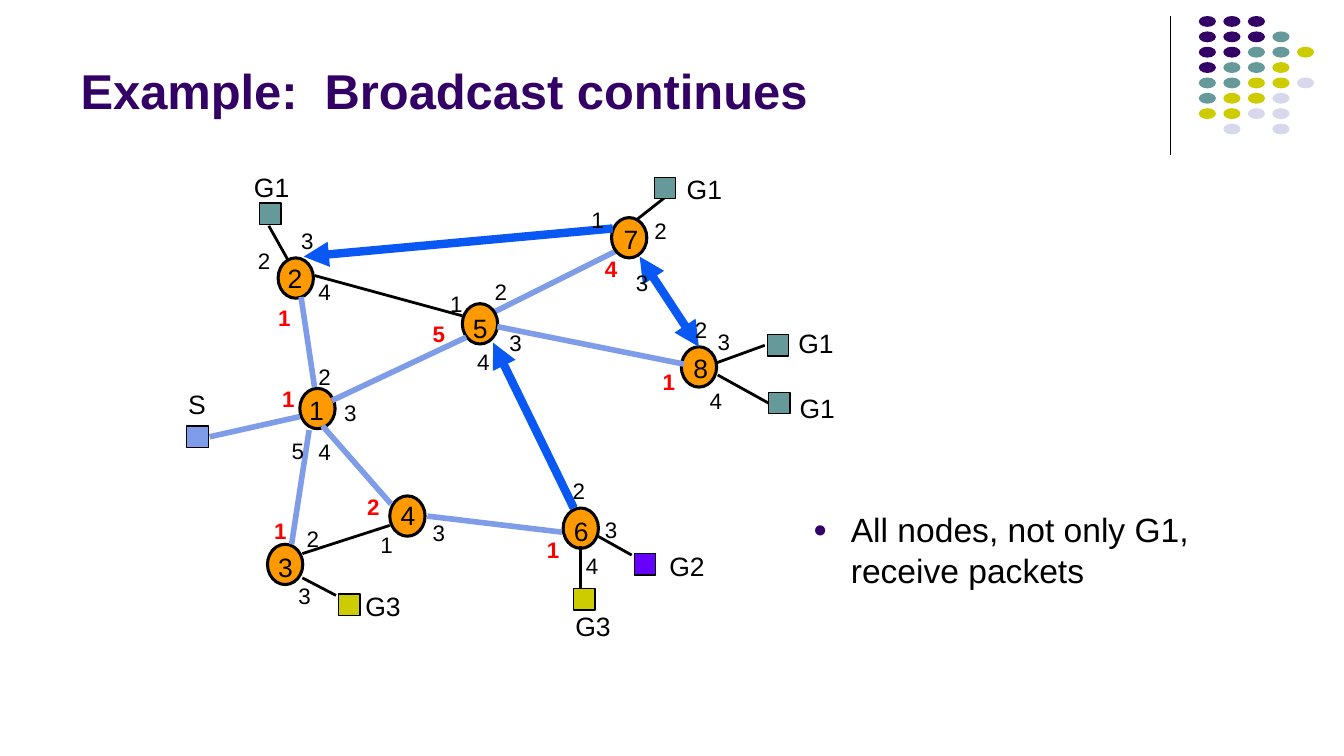
from dataclasses import dataclass

from lxml import etree
from pptx import Presentation
from pptx.dml.color import RGBColor
from pptx.enum.shapes import MSO_CONNECTOR, MSO_SHAPE
from pptx.enum.text import MSO_ANCHOR, MSO_AUTO_SIZE, PP_ALIGN
from pptx.oxml.ns import qn
from pptx.util import Pt

LINE = MSO_CONNECTOR.STRAIGHT
OVAL, RECT = MSO_SHAPE.OVAL, MSO_SHAPE.RECTANGLE
BOTTOM, TOP = MSO_ANCHOR.BOTTOM, MSO_ANCHOR.TOP
LEFT = PP_ALIGN.LEFT
FIXED, GROW = MSO_AUTO_SIZE.NONE, MSO_AUTO_SIZE.SHAPE_TO_FIT_TEXT


@dataclass
class Theme:
    font: str = "Arial"
    black: str = "000000"
    red: str = "FF0000"
    plum: str = "330066"
    teal: str = "669999"
    lime: str = "CCCC00"
    mist: str = "D8D8EC"
    gold: str = "FF9900"
    violet: str = "6600FF"
    sky: str = "7E9CE8"
    blue: str = "0A58F4"
    title: float = 26.2
    body: float = 18
    label: float = 14.2
    port: float = 12


T = Theme()


def write(frame, text, size=T.label, color=T.black, bold=False,
          anchor=TOP, fit=FIXED, wrap=True, inset=None):
    frame.word_wrap, frame.auto_size = wrap, fit
    frame.vertical_anchor = anchor
    if inset is not None:
        frame.margin_left = frame.margin_right = Pt(inset)
        frame.margin_top = frame.margin_bottom = Pt(inset)
    para = frame.paragraphs[0]
    para.alignment = LEFT
    run = para.add_run()
    run.text = text
    run.font.name, run.font.size, run.font.bold = T.font, Pt(size), bold
    run.font.color.rgb = RGBColor.from_string(color)
    return para


def link(ends, color=T.black, width=1.5, arrows=()):
    line = slide.shapes.add_connector(LINE, *[Pt(v) for v in ends])
    line.line.color.rgb = RGBColor.from_string(color)
    line.line.width = Pt(width)
    for tag in arrows:
        etree.SubElement(line.line._ln, qn(tag), type="triangle")
    etree.SubElement(line._element.spPr, qn("a:effectLst"))


deck = Presentation()
deck.slide_width, deck.slide_height = Pt(720), Pt(405)
slide = deck.slides.add_slide(deck.slide_layouts[1])

# Title
title, body = slide.placeholders
title.left, title.top, title.width, title.height = Pt(36), Pt(7.2), Pt(594), Pt(60.5)
write(title.text_frame, "Example:  Broadcast continues", size=T.title,
      color=T.plum, bold=True, anchor=BOTTOM)

# Bullet list
body.left, body.top, body.width, body.height = Pt(428.4), Pt(269.3), Pt(225.4), Pt(57.6)
para = write(body.text_frame, "All nodes, not only G1, receive packets", size=T.body)
para.space_before = Pt(3.6)
props = para._p.get_or_add_pPr()
props.set("marL", str(Pt(20.2)))
props.set("indent", str(-Pt(20.2)))
tint = etree.SubElement(props, qn("a:buClr"))
etree.SubElement(tint, qn("a:srgbClr"), val=T.plum)
etree.SubElement(props, qn("a:buSzPct"), val="70000")
etree.SubElement(props, qn("a:buFont"), typeface=T.font)
etree.SubElement(props, qn("a:buChar"), char="●")

# Node: corner, label place, port reached by the tree, places of ports 1, 2, ...
nodes = [
    (160.6, 208.1, 165.6, 211, 1, [(151.2, 206.6), (170.6, 194.4), (184.3, 213.8),
                                   (170.6, 234.7), (156.2, 234)]),
    (149, 138.2, 154.1, 140.4, 1, [(149, 162.7), (138.2, 132.5), (161.3, 121.7),
                                   (170.6, 149)]),
    (143.3, 291.6, 149, 295.2, 1, [(146.9, 277.2), (164.2, 281.5), (159.8, 311.8)]),
    (208.8, 265.7, 214.6, 267.1, 2, [(203.8, 284.4), (196.6, 264.2), (231.8, 277.9)]),
    (247.7, 162.7, 253.4, 167, 5, [(241.2, 155.5), (265, 149), (272.9, 176.4),
                                   (255.6, 186.5), (231.8, 171.4)]),
    (301.7, 272.2, 307.4, 275.8, 1, [(293, 287.3), (306.7, 255.6), (324, 276.5),
                                     (313.9, 295.9)]),
    (327.6, 116.6, 334.1, 119.5, 4, [(316.8, 110.2), (350.6, 116.6), (340.6, 144),
                                     (324, 136.8)]),
    (365, 185.8, 371.5, 188.6, 1, [(355, 197.3), (372.2, 169.2), (384.5, 175.7),
                                   (380.2, 207.4)]),
]

# Host: name, colour, corner, label place
hosts = [
    ("S", T.sky, 100.1, 228.2, 100.8, 208.1),
    ("G1", T.teal, 139, 108.7, 136.1, 91.4),
    ("G1", T.teal, 350.6, 95, 367.9, 92.9),
    ("G1", T.teal, 411.1, 179.3, 427.7, 175),
    ("G1", T.teal, 411.8, 210.2, 428.4, 210.2),
    ("G3", T.lime, 181.4, 318.2, 195.8, 316.1),
    ("G2", T.violet, 339.8, 296.6, 358.6, 294.5),
    ("G3", T.lime, 307.4, 315.4, 308.2, 326.9),
]

# Links: plain, tree and broadcast
plain = [
    (208.8, 281.5, 162, 296.6), (168.5, 147.6, 247.7, 169.2),
    (162, 309.6, 180, 319), (320.4, 287.3, 338.4, 297.4),
    (311, 315.4, 311, 292.3), (384.5, 200.9, 411.8, 216),
    (383.8, 194.4, 409.7, 185),
]
tree = [
    (168.5, 207.4, 161.3, 159.1), (177.8, 214.6, 249.8, 180.7),
    (172.8, 228.2, 209.5, 270), (229, 276.5, 301, 285.1),
    (112.3, 234, 160.6, 223.2), (165.6, 230.4, 156.2, 291.6),
    (266.4, 175, 366.5, 195.1),
]
cast = [
    ((264.2, 183.6, 307.4, 272.2), ["a:headEnd"]),
    ((342.7, 137.5, 374.4, 185.8), ["a:headEnd", "a:tailEnd"]),
    ((162.7, 137.5, 328.3, 122.4), ["a:headEnd"]),
]

# Corner rule and links behind the nodes
link((627.1, 8.6, 627.1, 82.8), width=0.75)
link((154.1, 139, 144, 121))
link((340.6, 118.1, 357.1, 105.1))
link((263.5, 167.8, 329.8, 134.6), T.sky, 3)

# Corner dots, nodes and host boxes
inks = {"P": T.plum, "T": T.teal, "Y": T.lime, "L": T.mist}
rows = ["PPP", "PPPT", "PPTTY", "PTTY", "TTYYL", "TYYL", "YYLL", ".L.L"]
marks = [(OVAL, 642.2 + 13.14 * col, 8.6 + 8.23 * row, 9.2, 5.8, inks[ink], 0)
         for row, inkrow in enumerate(rows)
         for col, ink in enumerate(inkrow) if ink in inks]
marks += [(OVAL, x, y, 18.9, 21.6, T.gold, 1.63) for x, y, *_ in nodes]
marks += [(RECT, x, y, 11.5, 11.5, fill, 0.75) for _, fill, x, y, *_ in hosts]
for kind, x, y, wide, high, fill, edge in marks:
    mark = slide.shapes.add_shape(kind, Pt(x), Pt(y), Pt(wide), Pt(high))
    mark.shadow.inherit = False
    mark.fill.solid()
    mark.fill.fore_color.rgb = RGBColor.from_string(fill)
    if edge:
        mark.line.color.rgb = RGBColor.from_string(T.black)
        mark.line.width = Pt(edge)
    else:
        mark.line.fill.background()

# Links in front of the nodes
for ends in plain:
    link(ends)
for ends in tree:
    link(ends, T.sky, 3)
for ends, arrows in cast:
    link(ends, T.blue, 4.5, arrows)

# Host, node and port labels
notes = [(name, x, y, T.label, False) for name, _, _, _, x, y in hosts]
for num, (_, _, x, y, root, ports) in enumerate(nodes, 1):
    notes.append((str(num), x, y, T.label, False))
    notes += [(str(port), *spot, T.port, port == root)
              for port, spot in enumerate(ports, 1)]
for text, x, y, size, hot in notes:
    wide = 19.4 if len(text) > 1 else size * 0.56
    box = slide.shapes.add_textbox(Pt(x), Pt(y), Pt(wide), Pt(size * 1.2))
    write(box.text_frame, text, size=size, color=T.red if hot else T.black,
          bold=hot, fit=GROW, wrap=False, inset=0)

deck.save("out.pptx")
